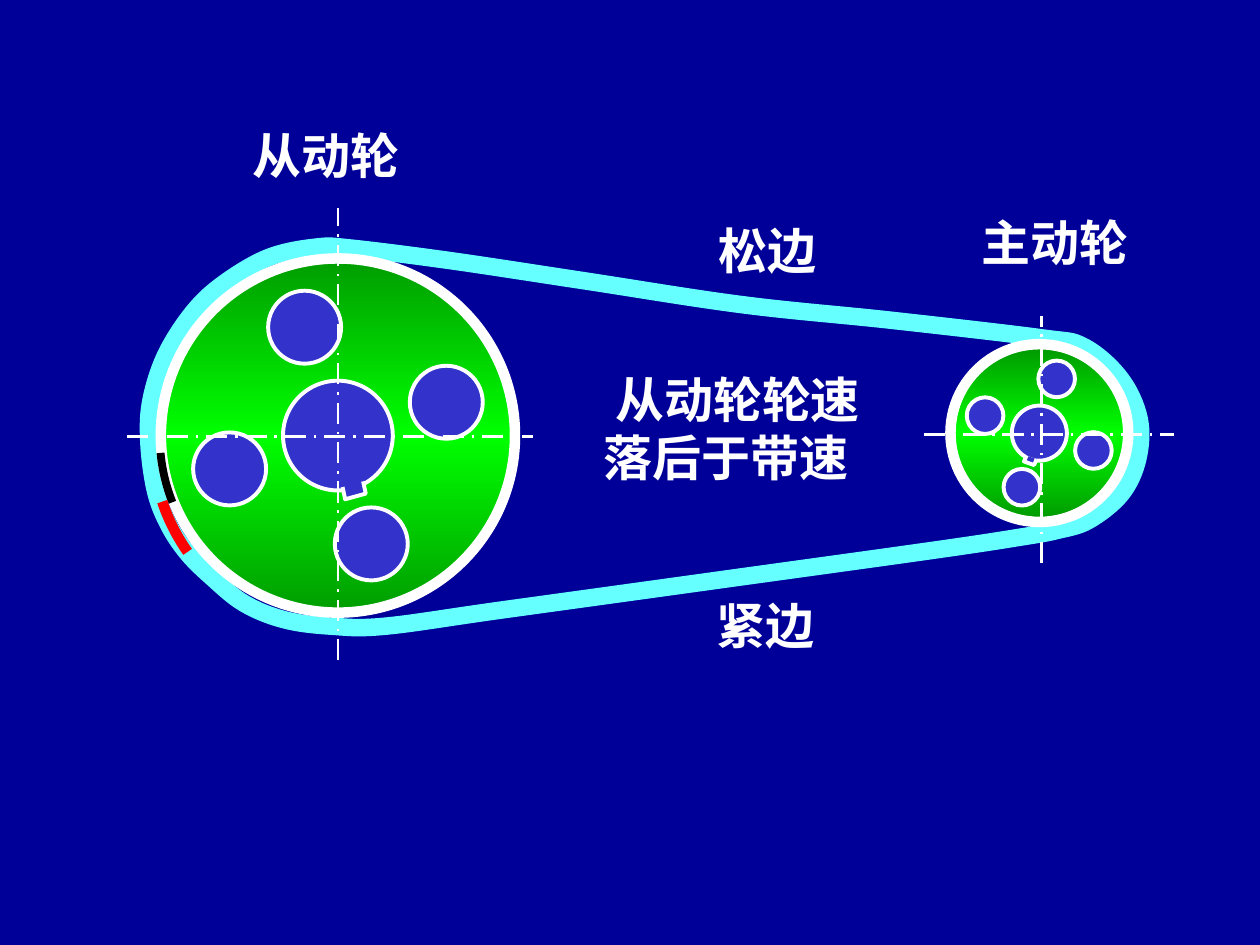
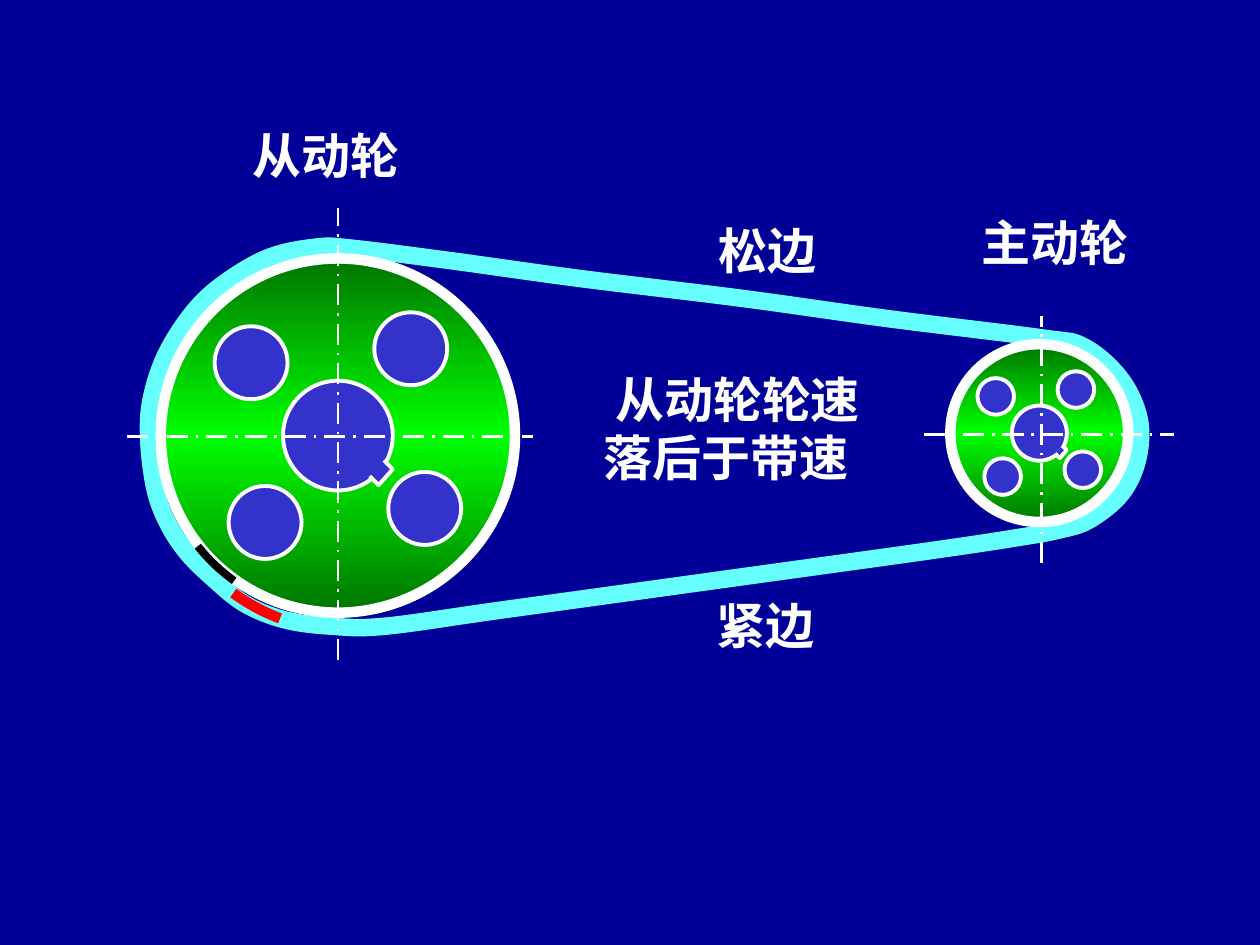
from copy import deepcopy
from dataclasses import dataclass
from math import cos, radians, sin

from lxml.etree import SubElement
from pptx import Presentation
from pptx.dml.color import RGBColor
from pptx.enum.dml import MSO_LINE
from pptx.enum.shapes import MSO_CONNECTOR, MSO_SHAPE
from pptx.enum.text import MSO_AUTO_SIZE, PP_ALIGN
from pptx.oxml.ns import qn
from pptx.util import Pt


@dataclass(frozen=True)
class Theme:
    background: str = "000099"
    belt: str = "66FFFF"
    white: str = "FFFFFF"
    bore: str = "3333CC"
    rim_dark: str = "007500"
    rim_light: str = "00FF00"
    wheel_mark: str = "000000"
    belt_mark: str = "FF0000"
    font: str = "Times New Roman"
    label_size: int = 28


theme = Theme()


def paint(shape, line, width, fill=None):
    shape.shadow.inherit = False
    shape.line.color.rgb = RGBColor.from_string(line)
    shape.line.width = Pt(width)
    if fill:
        shape.fill.solid()
        shape.fill.fore_color.rgb = RGBColor.from_string(fill)
    else:
        shape.fill.background()


def add_round(shapes, preset, center, rx, ry):
    x, y = center
    return shapes.add_shape(preset, Pt(x - rx), Pt(y - ry), Pt(2 * rx), Pt(2 * ry))


belt_start = [(594.7, 193)]
belt_rest = [
    (257.8, 149), (200.9, 141.8), (181.4, 141.1), (154.1, 146.9), (128.9, 161.3),
    (110.9, 177.8), (95, 202.3), (86.4, 228.2), (85, 251.3), (88.6, 279.4),
    (95.8, 298.8), (106.6, 315.4), (121, 329.8), (139.7, 344.9), (162.7, 354.2),
    (189.4, 357.8), (220.3, 357.8), (287.3, 348.5), (417.6, 330.5), (537.1, 313.9),
    (584.6, 306.7), (604.1, 303.1), (622.1, 297.4), (640.8, 282.2), (650.2, 262.1),
    (650.9, 239), (640.1, 216), (619.2, 198),
]

driving_wheel = ((593.9, 247.5), 50.8)
driven_wheel = ((193.1, 248.9), 101.2)
hole_orbit, hole_radius, hub_radius = 0.64, 0.206, 0.31
first_hole_angle = 40
keyway = [(0.26, 0.14), (0.31, 0.19), (0.23, 0.28), (0.18, 0.23)]

center_lines = [
    (72.7, 249.3, 304.6, 249.3),
    (193.2, 377.3, 193.2, 118.8),
    (527.8, 248.4, 671, 248.4),
    (595.2, 321.8, 595.2, 180.7),
]
labels = [
    ("从动轮轮速落后于带速 ", 332.7, 207.4, 170.6, 74.9, 7),
    ("主动轮 ", 543.6, 117.7, 125.3, 41, 0),
    ("从动轮 ", 126.7, 68.4, 125.3, 41, 0),
    ("松边 ", 399.3, 122.4, 85, 41, 0),
    ("紧边 ", 398.2, 337, 85, 41, 0),
]

stages = [
    dict(slack_side=[(508.3, 182.9), (424.8, 174.2), (334.8, 160.6)],
         driving_turn=67.8, driven_turn=32.9,
         wheel_mark=(158.2, 174.7), belt_mark=(145.5, 162), belt_center=(199.4, 252)),
    dict(slack_side=[(508.3, 182.2), (424.8, 170.6), (331.2, 159.1)],
         driving_turn=0.1, driven_turn=0,
         wheel_mark=(125.4, 141.7), belt_mark=(111.2, 126.9), belt_center=(200.2, 249.8)),
]

deck = Presentation()
deck.slide_width, deck.slide_height = Pt(720), Pt(540)
backdrop = deck.slide_master.background.fill
backdrop.solid()
backdrop.fore_color.rgb = RGBColor.from_string(theme.background)

for stage in stages:
    shapes = deck.slides.add_slide(deck.slide_layouts[6]).shapes

    knots = [(Pt(x), Pt(y)) for x, y in belt_start + stage["slack_side"] + belt_rest]
    outline = shapes.build_freeform(*knots[0], scale=1.0)
    outline.add_line_segments(knots[1:] + knots[:1], close=True)
    belt = outline.convert_to_shape()
    paint(belt, theme.belt, 10)
    for i, segment in enumerate(list(belt._element.iter(qn("a:lnTo")))):
        before, here, after, later = (knots[(i + k) % len(knots)] for k in (-1, 0, 1, 2))
        leaving = [b + (c - a) / 6 for a, b, c in zip(before, here, after)]
        arriving = [c - (d - b) / 6 for b, c, d in zip(here, after, later)]
        segment.tag = qn("a:cubicBezTo")
        for k, (x, y) in enumerate((leaving, arriving)):
            control = deepcopy(segment[-1])
            control.set("x", str(round(x - belt.left)))
            control.set("y", str(round(y - belt.top)))
            segment.insert(k, control)

    for (center, radius), turn in ((driving_wheel, stage["driving_turn"]),
                                   (driven_wheel, stage["driven_turn"])):
        x, y = center
        wheel = shapes.add_group_shape().shapes
        rim = add_round(wheel, MSO_SHAPE.OVAL, center, radius, radius)
        paint(rim, theme.white, 6)
        rim.rotation = turn
        rim.fill.gradient()
        rim.fill.gradient_angle = 270
        gradient = rim._element.spPr.find(qn("a:gradFill"))
        gradient.set("rotWithShape", "0")
        stop_list = gradient.find(qn("a:gsLst"))
        stop_list.insert(1, deepcopy(stop_list[0]))
        shades = (theme.rim_dark, theme.rim_light, theme.rim_dark)
        for i, (stop, shade) in enumerate(zip(rim.fill.gradient_stops, shades)):
            stop.position = i / 2
            stop.color.rgb = RGBColor.from_string(shade)

        bores = [(x, y, hub_radius * radius)]
        for quarter in range(4):
            angle = radians(first_hole_angle + turn + 90 * quarter)
            bores.insert(0, (x + hole_orbit * radius * cos(angle),
                             y + hole_orbit * radius * sin(angle), hole_radius * radius))
        for bore_x, bore_y, bore_radius in bores:
            bore = add_round(wheel, MSO_SHAPE.OVAL, (bore_x, bore_y), bore_radius, bore_radius)
            paint(bore, theme.white, 2.25, theme.bore)

        c, s = cos(radians(turn)), sin(radians(turn))
        corners = [(Pt(x + radius * (u * c - v * s)), Pt(y + radius * (u * s + v * c)))
                   for u, v in keyway]
        outline = wheel.build_freeform(*corners[0], scale=1.0)
        outline.add_line_segments(corners[1:], close=False)
        paint(outline.convert_to_shape(), theme.white, 2.25, theme.bore)

    for ends in center_lines:
        center_line = shapes.add_connector(MSO_CONNECTOR.STRAIGHT, *map(Pt, ends))
        center_line.line.color.rgb = RGBColor.from_string(theme.white)
        center_line.line.width = Pt(1.5)
        center_line.line.dash_style = MSO_LINE.LONG_DASH_DOT
        SubElement(center_line._element.spPr, qn("a:effectLst"))

    for center, rx, ry, angles, color, width in (
            ((192.4, 249.5), 101.1, 101.1, stage["wheel_mark"], theme.wheel_mark, 4.5),
            (stage["belt_center"], 112.3, 110.9, stage["belt_mark"], theme.belt_mark, 6)):
        mark = add_round(shapes, MSO_SHAPE.ARC, center, rx, ry)
        for i, angle in enumerate(angles):
            mark.adjustments[i] = angle * 0.6
        paint(mark, color, width)

    for text, left, top, width, height, indent in labels:
        frame = shapes.add_textbox(Pt(left), Pt(top), Pt(width), Pt(height)).text_frame
        frame.word_wrap = True
        frame.auto_size = MSO_AUTO_SIZE.SHAPE_TO_FIT_TEXT
        label = frame.paragraphs[0]
        label.text = text
        label.alignment = PP_ALIGN.CENTER
        label._p.get_or_add_pPr().set("indent", str(Pt(indent)))
        label.font.name = theme.font
        label.font.size = Pt(theme.label_size)
        label.font.bold = True
        label.font.color.rgb = RGBColor.from_string(theme.white)

deck.save("out.pptx")
